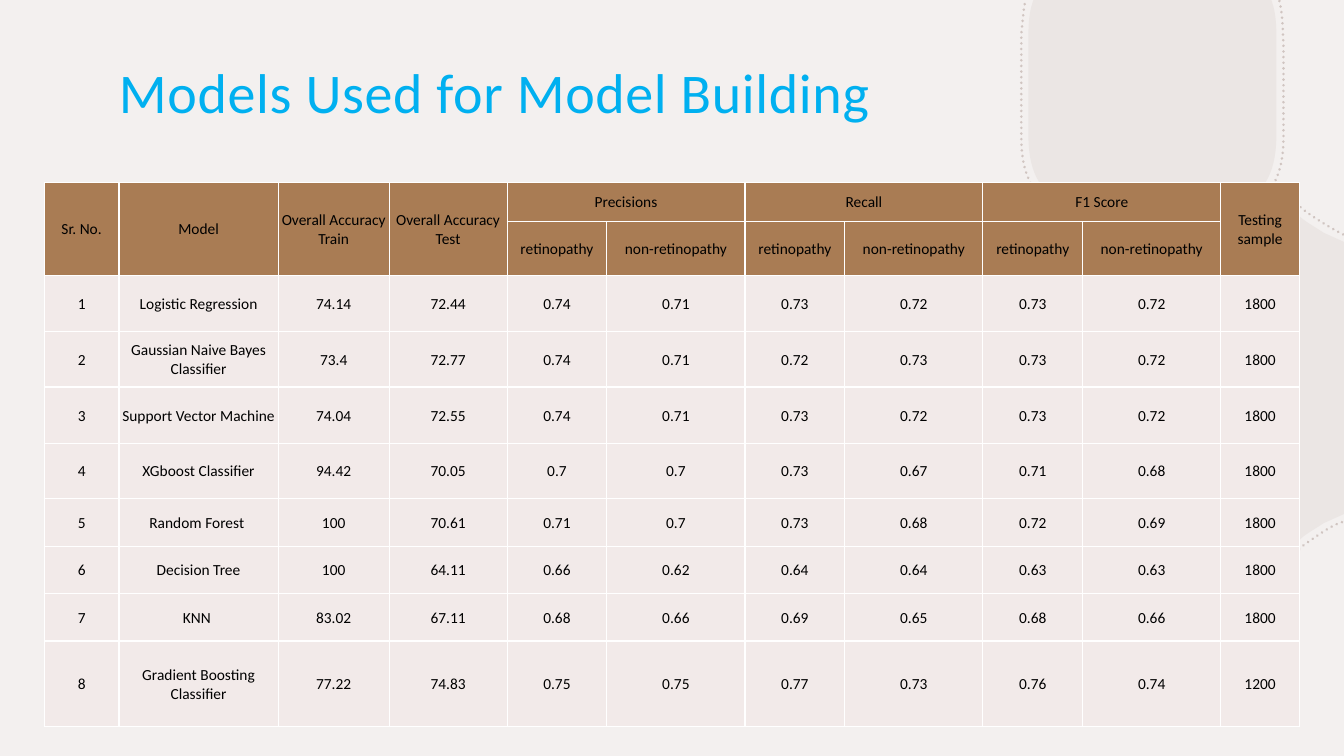
import pptx
import pptx.dml.color
import pptx.enum.dml
import pptx.enum.text
import pptx.oxml
import pptx.oxml.ns
import pptx.util
from pptx.dml.color import RGBColor
from pptx.util import Inches, Pt

TITLE = "Models Used for Model Building"
SCORES = ["Precisions", "Recall", "F1 Score"]
CLASSES = ["retinopathy", "non-retinopathy"]
LEAD_HEADINGS = ["Sr. No.", "Model", "Overall Accuracy Train", "Overall Accuracy Test"]
LAST_HEADING = "Testing sample"
MODELS = [
    ("Logistic Regression", "74.14", "72.44", "0.74", "0.71", "0.73", "0.72", "0.73", "0.72", "1800"),
    ("Gaussian Naive Bayes Classifier", "73.4", "72.77", "0.74", "0.71", "0.72", "0.73", "0.73", "0.72", "1800"),
    ("Support Vector Machine", "74.04", "72.55", "0.74", "0.71", "0.73", "0.72", "0.73", "0.72", "1800"),
    ("XGboost Classifier", "94.42", "70.05", "0.7", "0.7", "0.73", "0.67", "0.71", "0.68", "1800"),
    ("Random Forest ", "100", "70.61", "0.71", "0.7", "0.73", "0.68", "0.72", "0.69", "1800"),
    ("Decision Tree", "100", "64.11", "0.66", "0.62", "0.64", "0.64", "0.63", "0.63", "1800"),
    ("KNN ", "83.02", "67.11", "0.68", "0.66", "0.69", "0.65", "0.68", "0.66", "1800"),
    ("Gradient Boosting Classifier", "77.22", "74.83", "0.75", "0.75", "0.77", "0.73", "0.76", "0.74", "1200"),
]

SLIDE_WIDTH, SLIDE_HEIGHT = 13.33, 7.5
COLUMN_WIDTHS = [0.74, 1.58, 1.1, 1.17] + [0.99, 1.37] * len(SCORES) + [0.78]
ROW_HEIGHTS = [0.39, 0.53] + [0.56, 0.55] * 2 + [0.47] * 3 + [0.85]
TABLE_LEFT, TABLE_TOP = 0.44, 1.81

UNITS_PER_INCH = 100
TOP_BADGE = [
    (10.25, 0), (12.61, 0), (12.62, 0.03),
    (12.65, 0.12, 12.66, 0.23, 12.66, 0.36),
    (12.66, 0.46), (12.66, 0.76), (12.66, 0.93), (12.66, 1.16), (12.66, 1.33),
    (12.66, 1.69, 12.56, 1.87, 12.34, 2.02),
    (12.11, 2.15, 11.81, 2.21, 11.54, 2.42),
    (11.43, 2.51), (11.32, 2.42),
    (11.05, 2.21, 10.75, 2.15, 10.52, 2.02),
    (10.3, 1.87, 10.2, 1.69, 10.2, 1.33),
    (10.2, 1.16), (10.2, 0.93), (10.2, 0.76), (10.2, 0.46), (10.2, 0.36),
    (10.2, 0.23, 10.21, 0.12, 10.24, 0.03),
]
SIDE_BADGE = [
    (12.82, 2.09), (12.93, 2.18),
    (13, 2.23, 13.07, 2.27, 13.13, 2.31),
    (13.33, 2.4), (13.33, 5.1), (13.13, 5.19),
    (13.07, 5.23, 13, 5.27, 12.93, 5.32),
    (12.82, 5.42), (12.71, 5.32),
    (12.44, 5.11, 12.14, 5.06, 11.91, 4.92),
    (11.69, 4.77, 11.59, 4.59, 11.59, 4.24),
    (11.59, 4.06), (11.59, 3.83), (11.59, 3.67), (11.59, 3.37), (11.59, 3.26),
    (11.59, 2.91, 11.69, 2.73, 11.91, 2.58),
    (12.14, 2.44, 12.44, 2.39, 12.71, 2.18),
]
TOP_DOTS = [
    (12.69, 0.01),
    (12.73, 0.19, 12.72, 0.3, 12.73, 0.44),
    (12.73, 0.76), (12.73, 0.94), (12.73, 1.18), (12.73, 1.36),
    (12.73, 1.73, 12.62, 1.92, 12.39, 2.08),
    (12.15, 2.22, 11.83, 2.28, 11.55, 2.5),
    (11.43, 2.6), (11.31, 2.5),
    (11.03, 2.28, 10.71, 2.22, 10.47, 2.08),
    (10.24, 1.92, 10.13, 1.73, 10.13, 1.36),
    (10.13, 1.18), (10.13, 0.94), (10.13, 0.76), (10.13, 0.44), (10.13, 0.33),
    (10.14, 0.26, 10.15, 0.09, 10.17, 0.01),
]
SIDE_DOTS = [
    (13.31, 5.18),
    (13.18, 5.22, 13.02, 5.35, 12.94, 5.4),
    (12.82, 5.5), (12.7, 5.4),
    (12.42, 5.19, 12.1, 5.13, 11.86, 4.99),
    (11.63, 4.82, 11.52, 4.64, 11.52, 4.26),
    (11.52, 4.08), (11.52, 3.84), (11.52, 3.66), (11.52, 3.35), (11.52, 3.23),
    (11.52, 2.86, 11.63, 2.67, 11.86, 2.51),
    (12.1, 2.37, 12.42, 2.31, 12.7, 2.09),
    (12.82, 1.99), (12.94, 2.09),
    (13.02, 2.15, 13.19, 2.26, 13.33, 2.33),
]

FONT = "Calibri"
BACKGROUND = RGBColor(0xF3, 0xF0, 0xEF)
BADGE = RGBColor(0xBF, 0xAF, 0xAA)
TITLE_BLUE = RGBColor(0x00, 0xB0, 0xF0)
HEADER_FILL = RGBColor(0xA9, 0x7C, 0x54)
BODY_FILL = RGBColor(0xF2, 0xEA, 0xE9)
BLACK = RGBColor(0, 0, 0)
WHITE = RGBColor(0xFF, 0xFF, 0xFF)


def add_child(parent, tag, **attributes):
    child = pptx.oxml.parse_xml(f"<{tag} {pptx.oxml.ns.nsdecls('a')}/>")
    for name, value in attributes.items():
        child.set(name, str(value))
    parent.append(child)
    return child


def set_alpha(shape, percent):
    color = next(shape.element.spPr.iter(pptx.oxml.ns.qn("a:srgbClr")))
    add_child(color, "a:alpha", val=percent * 1000)


def add_outline(slide, segments, close):
    numbers = [round(value * UNITS_PER_INCH) for segment in segments for value in segment]
    points = list(zip(numbers[::2], numbers[1::2]))
    builder = slide.shapes.build_freeform(*points[0], scale=Inches(1) / UNITS_PER_INCH)
    builder.add_line_segments(points[1:], close=close)
    shape = builder.convert_to_shape()
    lines = iter(list(shape.element.spPr.iter(pptx.oxml.ns.qn("a:lnTo"))))
    for segment in segments[1:]:
        line = next(lines)
        if len(segment) == 6:
            curve = pptx.oxml.parse_xml(f"<a:cubicBezTo {pptx.oxml.ns.nsdecls('a')}/>")
            line.addprevious(curve)
            for part in (line, next(lines), next(lines)):
                curve.append(part[0])
                part.getparent().remove(part)
    shape.shadow.inherit = False
    return shape


def add_badge(slide, segments):
    shape = add_outline(slide, segments, True)
    shape.line.fill.background()
    shape.fill.solid()
    shape.fill.fore_color.rgb = BADGE
    set_alpha(shape, 15)


def add_dots(slide, segments):
    shape = add_outline(slide, segments, False)
    shape.fill.background()
    shape.line.color.rgb = BADGE
    shape.line.width = Pt(2)
    shape.line.dash_style = pptx.enum.dml.MSO_LINE.ROUND_DOT
    shape.line._get_or_add_ln().set("cap", "rnd")
    set_alpha(shape, 65)


def format_title(title):
    title.left, title.top, title.width, title.height = map(Inches, (1.06, 0.29, 9.93, 1.16))
    frame = title.text_frame
    frame.text = TITLE
    frame.auto_size = pptx.enum.text.MSO_AUTO_SIZE.NONE
    frame.vertical_anchor = pptx.enum.text.MSO_ANCHOR.MIDDLE
    frame.margin_left = frame.margin_right = Inches(0.12)
    frame.margin_top = frame.margin_bottom = Inches(0.1)
    paragraph = frame.paragraphs[0]
    paragraph.alignment = pptx.enum.text.PP_ALIGN.LEFT
    paragraph.line_spacing = 1.1
    font = paragraph.runs[0].font
    font.name, font.size, font.color.rgb = FONT, Pt(40), TITLE_BLUE
    paragraph.runs[0]._r.get_or_add_rPr().set("spc", "50")


def format_cell(cell, text, fill):
    cell.text = text
    cell.vertical_anchor = pptx.enum.text.MSO_ANCHOR.MIDDLE
    cell.margin_left = cell.margin_right = cell.margin_top = Inches(0.01)
    cell.margin_bottom = 0
    paragraph = cell.text_frame.paragraphs[0]
    paragraph.alignment = pptx.enum.text.PP_ALIGN.CENTER
    font = paragraph.font
    font.name, font.size, font.color.rgb = FONT, Pt(11), BLACK
    for side in ("L", "R", "T", "B"):
        border = add_child(cell._tc.get_or_add_tcPr(), f"a:ln{side}", w=Pt(1))
        add_child(add_child(border, "a:solidFill"), "a:srgbClr", val=WHITE)
    cell.fill.solid()
    cell.fill.fore_color.rgb = fill


def add_score_table(slide):
    lead, last = len(LEAD_HEADINGS), len(COLUMN_WIDTHS) - 1
    top_header = LEAD_HEADINGS + [text for score in SCORES for text in (score, "")] + [LAST_HEADING]
    sub_header = [""] * lead + CLASSES * len(SCORES) + [""]
    rows = [top_header, sub_header]
    rows += [(str(number), *model) for number, model in enumerate(MODELS, 1)]
    table = slide.shapes.add_table(
        len(rows), len(COLUMN_WIDTHS), Inches(TABLE_LEFT), Inches(TABLE_TOP),
        Inches(sum(COLUMN_WIDTHS)), Inches(sum(ROW_HEIGHTS))).table
    table.first_row = table.horz_banding = False
    for column, width in zip(table.columns, COLUMN_WIDTHS):
        column.width = Inches(width)
    for row, height in zip(table.rows, ROW_HEIGHTS):
        row.height = Inches(height)
    for row_index, texts in enumerate(rows):
        for column_index, text in enumerate(texts):
            fill = HEADER_FILL if row_index < 2 else BODY_FILL
            format_cell(table.cell(row_index, column_index), text, fill)
    for column_index in [*range(lead), last]:
        table.cell(0, column_index).merge(table.cell(1, column_index))
    for column_index in range(lead, last, len(CLASSES)):
        table.cell(0, column_index).merge(table.cell(0, column_index + 1))


presentation = pptx.Presentation()
presentation.slide_width, presentation.slide_height = Inches(SLIDE_WIDTH), Inches(SLIDE_HEIGHT)
slide = presentation.slides.add_slide(presentation.slide_layouts[5])
slide.background.fill.solid()
slide.background.fill.fore_color.rgb = BACKGROUND
for badge in (TOP_BADGE, SIDE_BADGE):
    add_badge(slide, badge)
for dots in (TOP_DOTS, SIDE_DOTS):
    add_dots(slide, dots)
format_title(slide.shapes.title)
add_score_table(slide)
presentation.save("out.pptx")
